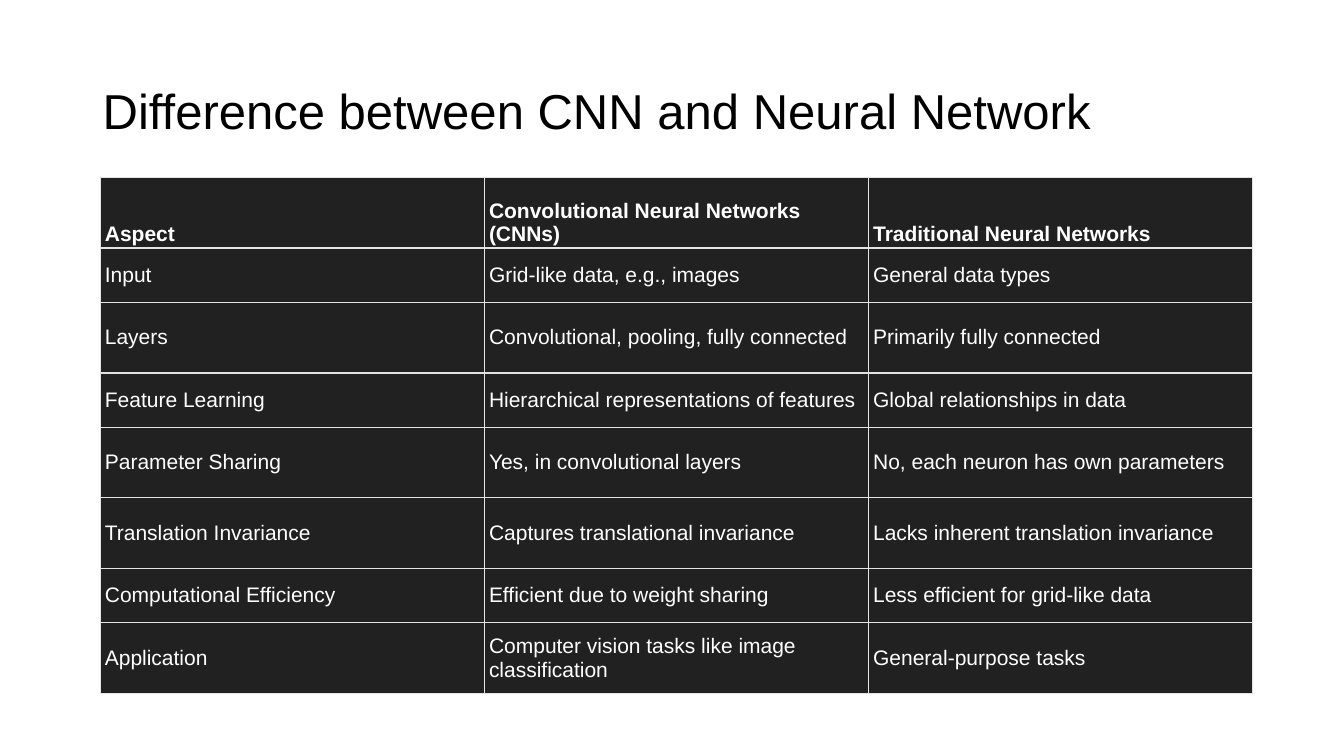
from lxml import etree
from pptx import Presentation
from pptx.dml.color import RGBColor
from pptx.enum.text import MSO_ANCHOR
from pptx.oxml.ns import qn
from pptx.util import Inches, Pt

MIDDLE, BOTTOM = MSO_ANCHOR.MIDDLE, MSO_ANCHOR.BOTTOM

ROWS = [
    ("Aspect", "Convolutional Neural Networks (CNNs)", "Traditional Neural Networks"),
    ("Input", "Grid-like data, e.g., images", "General data types"),
    ("Layers", "Convolutional, pooling, fully connected", "Primarily fully connected"),
    ("Feature Learning", "Hierarchical representations of features",
     "Global relationships in data"),
    ("Parameter Sharing", "Yes, in convolutional layers",
     "No, each neuron has own parameters"),
    ("Translation Invariance", "Captures translational invariance",
     "Lacks inherent translation invariance"),
    ("Computational Efficiency", "Efficient due to weight sharing",
     "Less efficient for grid-like data"),
    ("Application", "Computer vision tasks like image classification",
     "General-purpose tasks"),
]
TALL, SHORT = 0.7, 0.54
ROW_HEIGHTS = [TALL, SHORT, TALL, SHORT, TALL, TALL, SHORT, TALL]
COLUMN_WIDTH = 3.81


def rgb(color):
    return RGBColor.from_string(color)


class SlideBuilder:
    font, ink, paper = "Arial", "000000", "FFFFFF"
    cell_fill, grid = "212121", "E3E3E3"

    def __init__(self, slide):
        self.s = slide
        fill = slide.background.fill
        fill.solid()
        fill.fore_color.rgb = rgb(self.paper)

    def style(self, p, size, color, bold=False):
        p.font.name = self.font
        p.font.size = Pt(size)
        p.font.bold = bold
        p.font.color.rgb = rgb(color)

    def title(self, text, left, top, width, height):
        tf = self.s.shapes.add_textbox(
            Inches(left), Inches(top), Inches(width), Inches(height)).text_frame
        tf.word_wrap = True
        tf.vertical_anchor = MIDDLE
        p = tf.paragraphs[0]
        p.text = text
        p.line_spacing = 0.9
        self.style(p, 35, self.ink)

    def borders(self, cell, top, bottom):
        """Draw the four cell edges; top and bottom widths are in points."""
        tcPr = cell._tc.get_or_add_tcPr()
        for side, width in (("L", 0.5), ("R", 0.5), ("T", top), ("B", bottom)):
            ln = etree.SubElement(tcPr, qn("a:ln" + side), w=str(Pt(width)))
            fill = etree.SubElement(ln, qn("a:solidFill"))
            etree.SubElement(fill, qn("a:srgbClr"), val=self.grid)

    def cell(self, cell, text, header, top, bottom):
        self.borders(cell, top, bottom)
        cell.fill.solid()
        cell.fill.fore_color.rgb = rgb(self.cell_fill)
        cell.margin_left = cell.margin_right = Inches(0.05)
        cell.margin_top = cell.margin_bottom = Inches(0.02)
        cell.vertical_anchor = BOTTOM if header else MIDDLE
        p = cell.text_frame.paragraphs[0]
        p.text = text
        self.style(p, 15, self.paper, header)

    def table(self, rows, left, top, column_width, heights):
        columns = len(rows[0])
        table = self.s.shapes.add_table(
            len(rows), columns, Inches(left), Inches(top),
            Inches(column_width * columns), Inches(sum(heights))).table
        for column in table.columns:
            column.width = Inches(column_width)
        last = len(rows) - 1
        for i, (texts, height) in enumerate(zip(rows, heights)):
            table.rows[i].height = Inches(height)
            for j, text in enumerate(texts):
                self.cell(table.cell(i, j), text, i == 0,
                          top=0.5 if i == 0 else 1,
                          bottom=0.5 if i == last else 1)


def main():
    prs = Presentation()
    prs.slide_width, prs.slide_height = Inches(13.33), Inches(7.5)
    builder = SlideBuilder(prs.slides.add_slide(prs.slide_layouts[6]))
    builder.title("Difference between CNN and Neural Network", 0.92, 0.4, 11.5, 1.45)
    builder.table(ROWS, 0.99, 1.76, COLUMN_WIDTH, ROW_HEIGHTS)
    prs.save("out.pptx")


if __name__ == "__main__":
    main()
